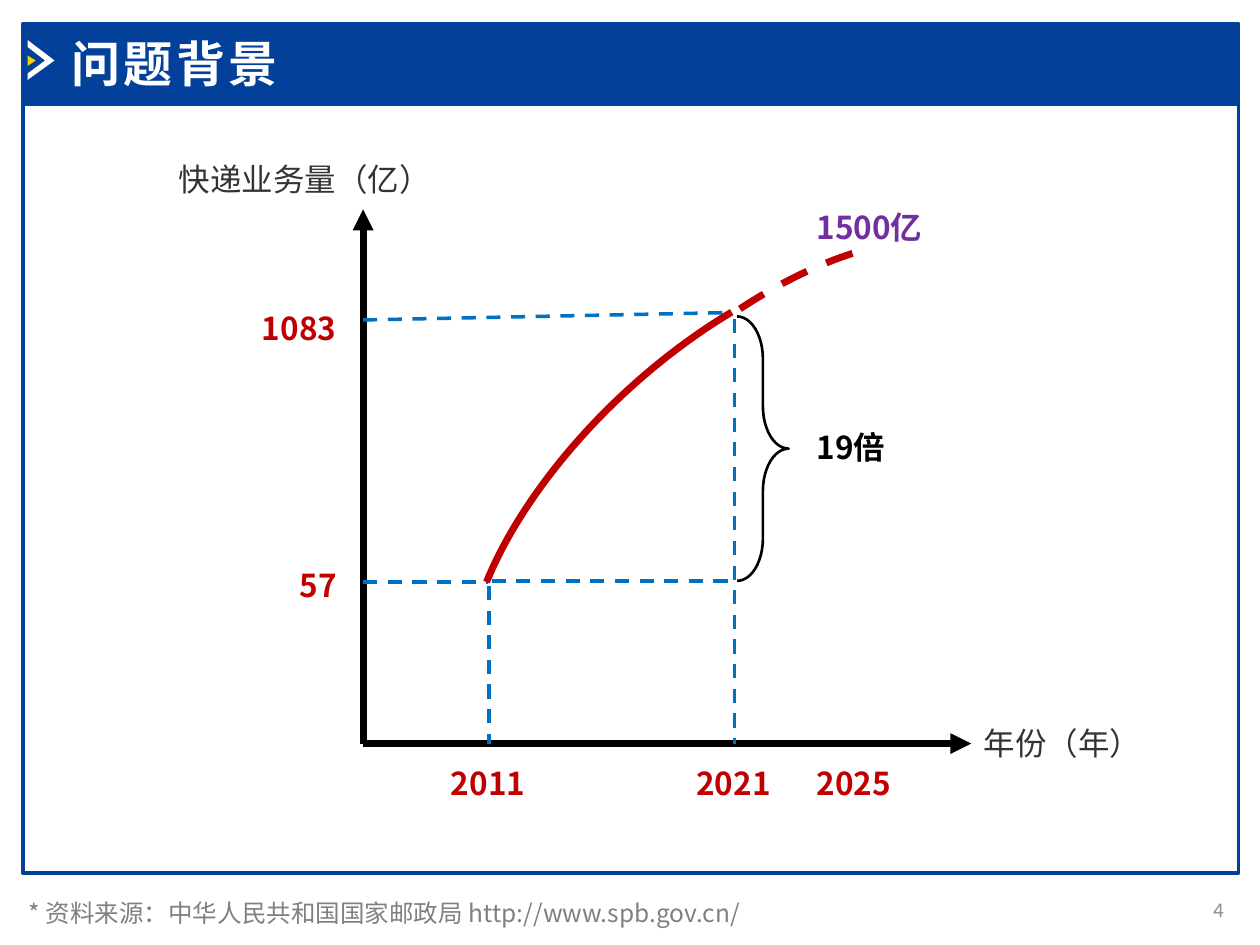
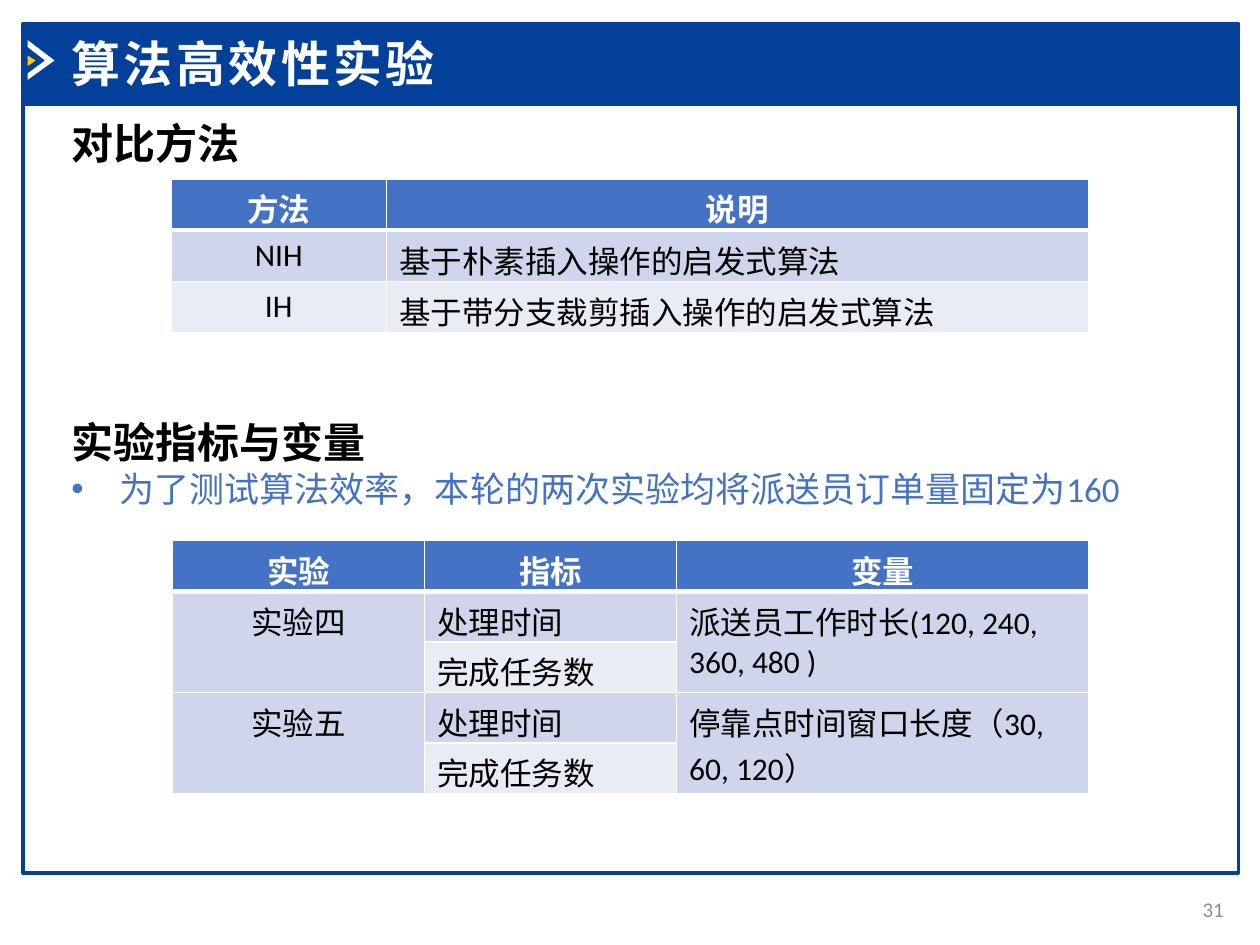
from typing import NamedTuple

from lxml.etree import SubElement
from pptx import Presentation
from pptx.dml.color import RGBColor
from pptx.enum.dml import MSO_LINE_DASH_STYLE as Dash
from pptx.enum.shapes import MSO_CONNECTOR as Link, MSO_SHAPE as Preset
from pptx.enum.text import MSO_ANCHOR as Anchor, PP_ALIGN as Align
from pptx.oxml.ns import qn
from pptx.util import Cm, Pt

NAVY, WHITE, BLACK, YELLOW = "02409A", "FFFFFF", "000000", "FFCC00"
RED, BLUE, PURPLE = "C00000", "0070C0", "7030A0"
DARK, GREY, PALE_GREY = "333333", "808080", "8C8C8C"
ACCENT, BAND_DARK, BAND_LIGHT = "4472C4", "CFD5EA", "E9EBF5"
LATIN, HAN = "Calibri", "Noto Sans CJK SC"

ORIGIN_X, ORIGIN_Y = 7.32, 14.99
YEAR_LABEL_Y = 15.27
NOTE_X = 16.21


class Area(NamedTuple):
    left: float
    top: float
    width: float
    height: float


class Style(NamedTuple):
    size: float
    color: str
    bold: bool = False
    font: str = LATIN
    spacing: int = 0


class Paragraph(NamedTuple):
    text: str
    style: Style
    align: Align = Align.LEFT
    bullet: bool = False


class Label(NamedTuple):
    text: str
    area: Area
    style: Style
    wrap: bool = False


class Line(NamedTuple):
    start: tuple[float, float]
    end: tuple[float, float]
    color: str = BLUE
    width: float = 2
    dashed: bool = True
    arrow: bool = False


class Curve(NamedTuple):
    preset: Preset
    area: Area
    adjustments: tuple[float, float]
    color: str
    width: float
    rotation: float = 0
    dashed: bool = False


class Grid(NamedTuple):
    left: float
    top: float
    columns: list[float]
    row_height: float
    rows: list[list[str]]
    fills: list[list[str]]
    merges: list[tuple[int, int, int, int]]


TITLE = Style(28, WHITE, True, spacing=200)
PAGE_NUMBER = Style(12, PALE_GREY)
HEADING = Style(24, BLACK, True)
POINT = Style(20, ACCENT)
HEADER_CELL = Style(18, WHITE, True)
BODY_CELL = Style(18, BLACK)
AXIS = Style(18, DARK, font=HAN)
VALUE = Style(18, RED, True, HAN)
SOURCE = Style(14, GREY, font=HAN)

LABELS = [
    Label("年份（年）", Area(19.58, 14.48, 3.71, 1.02), AXIS),
    Label("快递业务量（亿）", Area(3.35, 3.1, 5.64, 1.02), AXIS),
    Label("2011", Area(8.84, YEAR_LABEL_Y, 2.11, 1.02), VALUE),
    Label("2021", Area(13.79, YEAR_LABEL_Y, 2.11, 1.02), VALUE),
    Label("2025", Area(NOTE_X, YEAR_LABEL_Y, 2.11, 1.02), VALUE),
    Label("1083", Area(5.03, 6.1, 2.11, 1.02), VALUE),
    Label("57", Area(5.79, 11.28, 1.3, 1.02), VALUE),
    Label("1500亿", Area(NOTE_X, 4.06, 2.74, 1.02), VALUE._replace(color=PURPLE), True),
    Label("19倍", Area(NOTE_X, 8.51, 1.96, 1.02), VALUE._replace(color=BLACK), True),
    Label("* 资料来源：中华人民共和国国家邮政局 http://www.spb.gov.cn/",
          Area(0.33, 17.98, 15.09, 0.86), SOURCE),
]

LINES = [
    Line((ORIGIN_X, ORIGIN_Y), (ORIGIN_X, 4.22), BLACK, 4, False, True),
    Line((ORIGIN_X, ORIGIN_Y), (19.58, ORIGIN_Y), BLACK, 4, False, True),
    Line((14.81, 6.43), (14.81, ORIGIN_Y)),
    Line((9.86, 11.81), (9.86, ORIGIN_Y)),
    Line((ORIGIN_X, 11.73), (9.83, 11.73)),
    Line((ORIGIN_X, 6.45), (14.76, 6.3)),
    Line((9.91, 11.71), (14.86, 11.71)),
]

CURVES = [
    Curve(Preset.ARC, Area(8.66, 6.76, 13.39, 6.5), (183.97, 201.75), RED, 4, 316.8, True),
    Curve(Preset.RIGHT_BRACE, Area(14.86, 6.38, 1.04, 5.33), (0.82, 0.5), BLACK, 1.5),
    Curve(Preset.ARC, Area(8.1, 7.06, 13.39, 6.5), (124.18, 187.36), RED, 4, 317.1),
]

METHODS = Grid(
    3.45, 3.61, [4.34, 14.15], 1.03,
    [["方法", "说明"],
     ["NIH", "基于朴素插入操作的启发式算法"],
     ["IH", "基于带分支裁剪插入操作的启发式算法"]],
    [[ACCENT] * 2, [BAND_DARK] * 2, [BAND_LIGHT] * 2],
    [],
)

EXPERIMENT_FILLS = [[BAND_DARK] * 3, [BAND_DARK, BAND_LIGHT, BAND_DARK]]
EXPERIMENTS = Grid(
    3.48, 10.9, [5.08, 5.08, 8.31], 1.02,
    [["实验", "指标", "变量"],
     ["实验四", "处理时间", "派送员工作时长(120, 240, 360, 480 )"],
     ["", "完成任务数", ""],
     ["实验五", "处理时间", "停靠点时间窗口长度（30, 60, 120）"],
     ["", "完成任务数", ""]],
    [[ACCENT] * 3, *EXPERIMENT_FILLS * 2],
    [(row, column, row + 1, column) for row in (1, 3) for column in (0, 2)],
)


def rgb(value: str) -> RGBColor:
    return RGBColor.from_string(value)


def place(area: Area) -> list[Cm]:
    return [Cm(length) for length in area]


def write(para, content: Paragraph) -> None:
    para.alignment = content.align
    if content.bullet:
        properties = para._p.get_or_add_pPr()
        properties.set("marL", str(Cm(0.97)))
        properties.set("indent", str(-Cm(0.97)))
        SubElement(properties, qn("a:buFont"), typeface="Arial")
        SubElement(properties, qn("a:buChar"), char="•")
    if not content.text:
        return
    span = para.add_run()
    span.text = content.text
    style = content.style
    span.font.size = Pt(style.size)
    span.font.bold = style.bold
    span.font.color.rgb = rgb(style.color)
    span.font.name = style.font
    properties = span._r.get_or_add_rPr()
    SubElement(properties, qn("a:ea"), typeface=HAN)
    if style.spacing:
        properties.set("spc", str(style.spacing))


def add_text(page, area: Area, *contents: Paragraph, wrap: bool = True,
             anchor: Anchor = Anchor.TOP) -> None:
    frame = page.shapes.add_textbox(*place(area)).text_frame
    frame.word_wrap = wrap
    frame.vertical_anchor = anchor
    for index, content in enumerate(contents):
        write(frame.add_paragraph() if index else frame.paragraphs[0], content)


def add_panel(page, area: Area, filled: bool) -> None:
    panel = page.shapes.add_shape(Preset.RECTANGLE, *place(area))
    panel.shadow.inherit = False
    if filled:
        panel.fill.solid()
        panel.fill.fore_color.rgb = rgb(NAVY)
    else:
        panel.fill.background()
    panel.line.color.rgb = rgb(NAVY)
    panel.line.width = Pt(2)


def add_outline(page, points: list[tuple[float, float]], color: str) -> None:
    start, *rest = [(Cm(x), Cm(y)) for x, y in points]
    builder = page.shapes.build_freeform(*start)
    builder.add_line_segments(rest)
    outline = builder.convert_to_shape()
    outline.shadow.inherit = False
    outline.fill.solid()
    outline.fill.fore_color.rgb = rgb(color)
    outline.line.fill.background()


def add_line(page, line: Line) -> None:
    ends = [Cm(length) for length in (*line.start, *line.end)]
    connector = page.shapes.add_connector(Link.STRAIGHT, *ends)
    connector.line.color.rgb = rgb(line.color)
    connector.line.width = Pt(line.width)
    if line.dashed:
        connector.line.dash_style = Dash.DASH
    if line.arrow:
        SubElement(connector.line._get_or_add_ln(), qn("a:tailEnd"), type="triangle")
    SubElement(connector._element.spPr, qn("a:effectLst"))


def add_curve(page, curve: Curve) -> None:
    shape = page.shapes.add_shape(curve.preset, *place(curve.area))
    shape.shadow.inherit = False
    for index, value in enumerate(curve.adjustments):
        shape.adjustments[index] = value
    shape.rotation = curve.rotation
    shape.fill.background()
    shape.line.color.rgb = rgb(curve.color)
    shape.line.width = Pt(curve.width)
    if curve.dashed:
        shape.line.dash_style = Dash.DASH


def add_borders(cell, top: float, bottom: float) -> None:
    properties = cell._tc.get_or_add_tcPr()
    for side, width in (("L", 1), ("R", 1), ("T", top), ("B", bottom)):
        border = SubElement(properties, qn(f"a:ln{side}"), w=str(Pt(width)))
        solid = SubElement(border, qn("a:solidFill"))
        SubElement(solid, qn("a:srgbClr"), val=WHITE)


def add_grid(page, grid: Grid) -> None:
    area = Area(grid.left, grid.top, sum(grid.columns), grid.row_height * len(grid.rows))
    table = page.shapes.add_table(len(grid.rows), len(grid.columns), *place(area)).table
    for column, width in zip(table.columns, grid.columns):
        column.width = Cm(width)
    for row_index, (texts, fills) in enumerate(zip(grid.rows, grid.fills)):
        table.rows[row_index].height = Cm(grid.row_height)
        header = row_index == 0
        style = HEADER_CELL if header else BODY_CELL
        for column_index, (text, fill) in enumerate(zip(texts, fills)):
            cell = table.cell(row_index, column_index)
            add_borders(cell, 3 if row_index == 1 else 1, 3 if header else 1)
            cell.fill.solid()
            cell.fill.fore_color.rgb = rgb(fill)
            align = Align.CENTER if header or column_index == 0 else Align.LEFT
            write(cell.text_frame.paragraphs[0], Paragraph(text, style, align))
    for top, left, bottom, right in grid.merges:
        table.cell(top, left).merge(table.cell(bottom, right))


def add_page(deck, title: str, number: int):
    page = deck.slides.add_slide(deck.slide_layouts[6])
    add_panel(page, Area(0.46, 2.11, 24.51, 15.49), False)
    add_panel(page, Area(0.46, 0.48, 24.51, 1.63), True)
    chevron = [(0.56, 0.81), (1.1, 1.22), (0.56, 1.61),
               (0.56, 1.48), (0.91, 1.22), (0.56, 0.95)]
    add_outline(page, chevron, WHITE)
    add_outline(page, [(0.56, 1.12), (0.72, 1.22), (0.56, 1.33)], YELLOW)
    add_text(page, Area(23.42, 17.81, 1.5, 1.02),
             Paragraph(str(number), PAGE_NUMBER, Align.RIGHT), anchor=Anchor.MIDDLE)
    add_text(page, Area(1.19, 0.56, 9.04, 1.45), Paragraph(title, TITLE))
    return page


def build_background(deck) -> None:
    page = add_page(deck, "问题背景", 4)
    for line in LINES:
        add_line(page, line)
    for curve in CURVES:
        add_curve(page, curve)
    for label in LABELS:
        add_text(page, label.area, Paragraph(label.text, label.style), wrap=label.wrap)


def build_experiments(deck) -> None:
    page = add_page(deck, "算法高效性实验", 31)
    add_text(page, Area(1.19, 2.24, 23.04, 1.27), Paragraph("对比方法", HEADING))
    add_grid(page, METHODS)
    add_text(page, Area(1.19, 8.28, 23.04, 2.13),
             Paragraph("实验指标与变量", HEADING),
             Paragraph("为了测试算法效率，本轮的两次实验均将派送员订单量固定为160", POINT, bullet=True))
    add_grid(page, EXPERIMENTS)


def main() -> None:
    deck = Presentation()
    deck.slide_width, deck.slide_height = Cm(25.4), Cm(19.05)
    build_background(deck)
    build_experiments(deck)
    deck.save("out.pptx")


if __name__ == "__main__":
    main()
